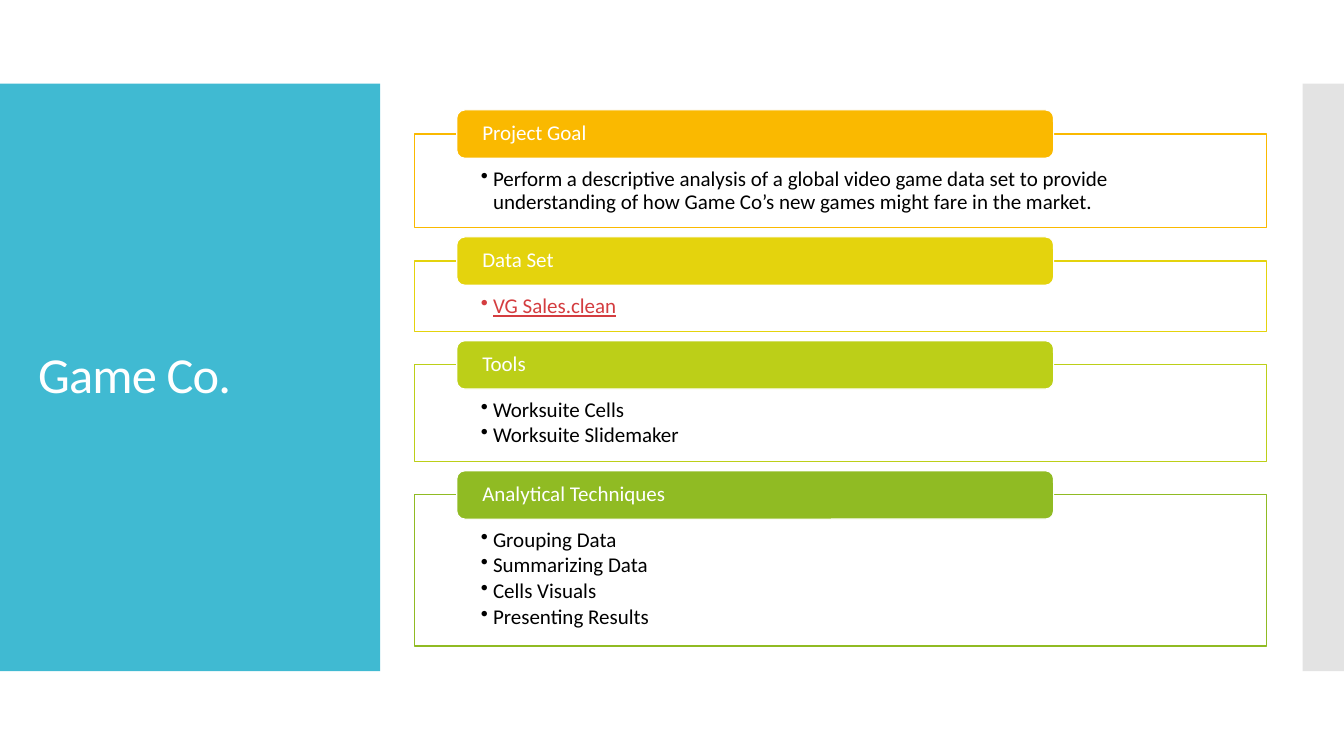
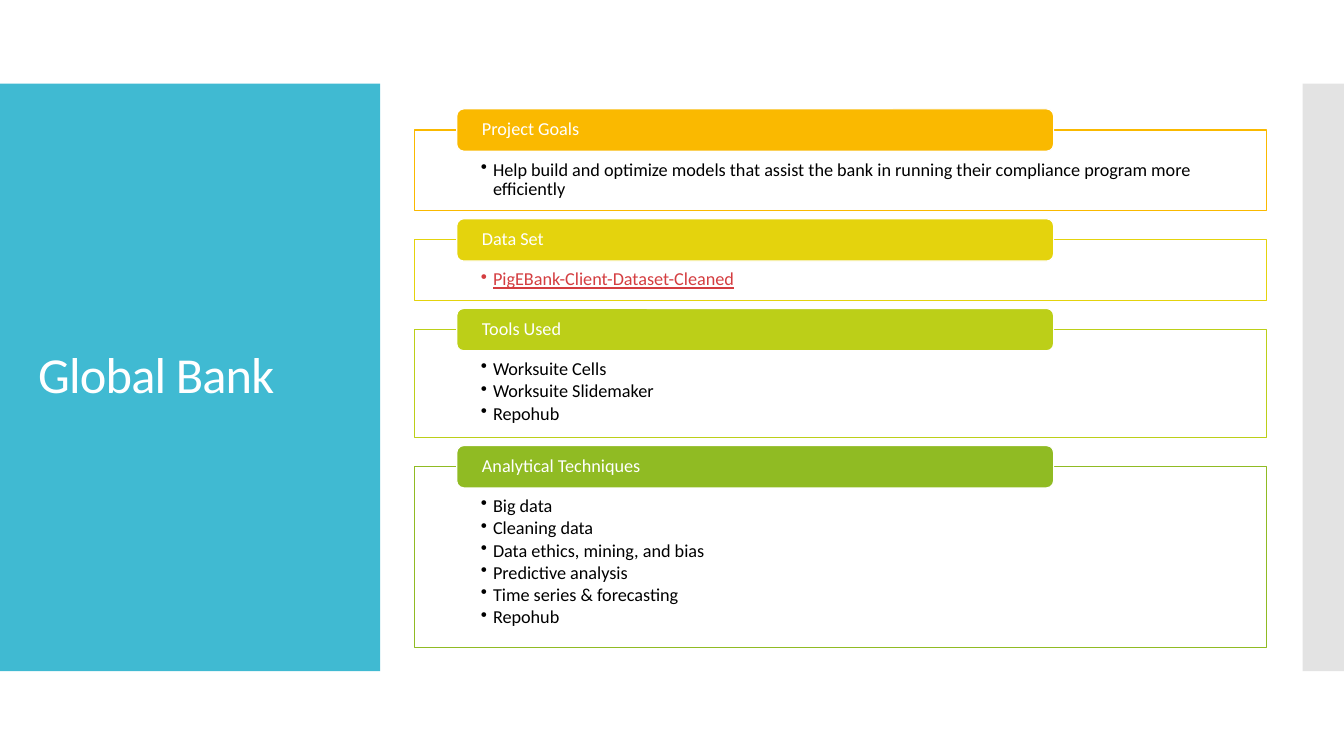
import pptx
import pptx.util
import pptx.dml.color
import pptx.enum.shapes
import pptx.enum.text
import pptx.oxml.ns
import lxml.etree

Inches, Pt = pptx.util.Inches, pptx.util.Pt
RGBColor = pptx.dml.color.RGBColor
SHAPE = pptx.enum.shapes.MSO_SHAPE
ANCHOR = pptx.enum.text.MSO_ANCHOR

TEAL = RGBColor(0x40, 0xBA, 0xD2)
GREY = RGBColor(0xE3, 0xE3, 0xE3)
WHITE = RGBColor(0xFF, 0xFF, 0xFF)
BLACK = RGBColor(0x00, 0x00, 0x00)
LINK_RED = RGBColor(0xD4, 0x3D, 0x40)
ACCENTS = [RGBColor(0xFA, 0xB9, 0x00), RGBColor(0xE4, 0xD3, 0x0D),
           RGBColor(0xBC, 0xCF, 0x18), RGBColor(0x90, 0xBB, 0x23)]
FONT = "Calibri"

# Each section: heading, frame height, bullets
SLIDES = [
    {"title": "Game Co.", "size": 15, "top": 1.09, "header": 0.48, "gap": 0.09,
     "inset_top": 0.34, "sections": [
         ("Project Goal", 0.93, [
             "Perform a descriptive analysis of a global video game data set to provide "
             "understanding of how Game Co’s new games might fare in the market."]),
         ("Data Set", 0.7, ["VG Sales.clean"]),
         ("Tools", 0.96, ["Worksuite Cells", "Worksuite Slidemaker"]),
         ("Analytical Techniques", 1.5, [
             "Grouping Data", "Summarizing Data", "Cells Visuals", "Presenting Results"]),
     ]},
    {"title": "Global Bank", "size": 13, "top": 1.08, "header": 0.42, "gap": 0.08,
     "inset_top": 0.3, "sections": [
         ("Project Goals", 0.8, [
             "Help build and optimize models that assist the bank in running their "
             "compliance program more efficiently"]),
         ("Data Set", 0.6, ["PigEBank-Client-Dataset-Cleaned"]),
         ("Tools Used", 1.07, ["Worksuite Cells", "Worksuite Slidemaker", "Repohub"]),
         ("Analytical Techniques", 1.79, [
             "Big data", "Cleaning data", "Data ethics, mining, and bias",
             "Predictive analysis", "Time series & forecasting", "Repohub"]),
     ]},
]


def add_box(s, kind, box, fill, line=None):
    sp = s.shapes.add_shape(kind, *[Inches(v) for v in box])
    sp.shadow.inherit = False
    sp.fill.solid()
    sp.fill.fore_color.rgb = fill
    if line is None:
        sp.line.fill.background()
    else:
        sp.line.color.rgb = line
        sp.line.width = Pt(0.85)
    return sp


def write(sp, lines, size, color, anchor, insets, bullet=False, underline=False):
    tf = sp.text_frame
    left, top, right, bottom = [Inches(v) for v in insets]
    frame_format = {"word_wrap": True, "vertical_anchor": anchor, "margin_left": left,
                    "margin_top": top, "margin_right": right, "margin_bottom": bottom}
    for name, value in frame_format.items():
        setattr(tf, name, value)
    for i, text in enumerate(lines):
        p = tf.paragraphs[0] if i == 0 else tf.add_paragraph()
        if bullet:
            pPr = p._p.get_or_add_pPr()
            pPr.set("marL", str(Inches(0.12)))
            pPr.set("indent", str(-Inches(0.12)))
            bu = lxml.etree.SubElement(pPr, pptx.oxml.ns.qn("a:buChar"))
            bu.set("char", "•")
            p.space_after = Pt(0.14 * size)
        p.alignment = pptx.enum.text.PP_ALIGN.LEFT
        p.line_spacing = 0.9
        r = p.add_run()
        r.text = text
        for name, value in {"name": FONT, "size": Pt(size), "underline": underline}.items():
            setattr(r.font, name, value)
        r.font.color.rgb = color


prs = pptx.Presentation()
prs.slide_width, prs.slide_height = Inches(13.33), Inches(7.5)

for data in SLIDES:
    s = prs.slides.add_slide(prs.slide_layouts[6])

    # Side bands and title
    add_box(s, SHAPE.RECTANGLE, (0, 0.83, 3.77, 5.83), TEAL)
    add_box(s, SHAPE.RECTANGLE, (12.92, 0.83, 0.41, 5.83), GREY)
    title = s.shapes.add_textbox(Inches(0.28), Inches(1.23), Inches(3.22), Inches(5.03))
    write(title, [data["title"]], 36, WHITE, ANCHOR.MIDDLE, (0.1, 0.05, 0.1, 0.05))
    title.text_frame.paragraphs[0].runs[0].font._element.set("spc", "-60")

    # Framed lists, each with a header straddling the top edge
    y, header, size = data["top"], data["header"], data["size"]
    for (heading, height, bullets), accent in zip(data["sections"], ACCENTS):
        is_link = heading == "Data Set"
        frame_top = y + header / 2
        frame = add_box(s, SHAPE.RECTANGLE, (4.11, frame_top, 8.45, height), WHITE, accent)
        write(frame, bullets, size, LINK_RED if is_link else BLACK, ANCHOR.TOP,
              (0.66, data["inset_top"], 0.66, 0.1), bullet=True, underline=is_link)
        tab = add_box(s, SHAPE.ROUNDED_RECTANGLE, (4.53, y, 5.92, header), accent, WHITE)
        write(tab, [heading], size, WHITE, ANCHOR.MIDDLE, (0.23, 0, 0.23, 0))
        y = frame_top + height + data["gap"]

prs.save("out.pptx")
